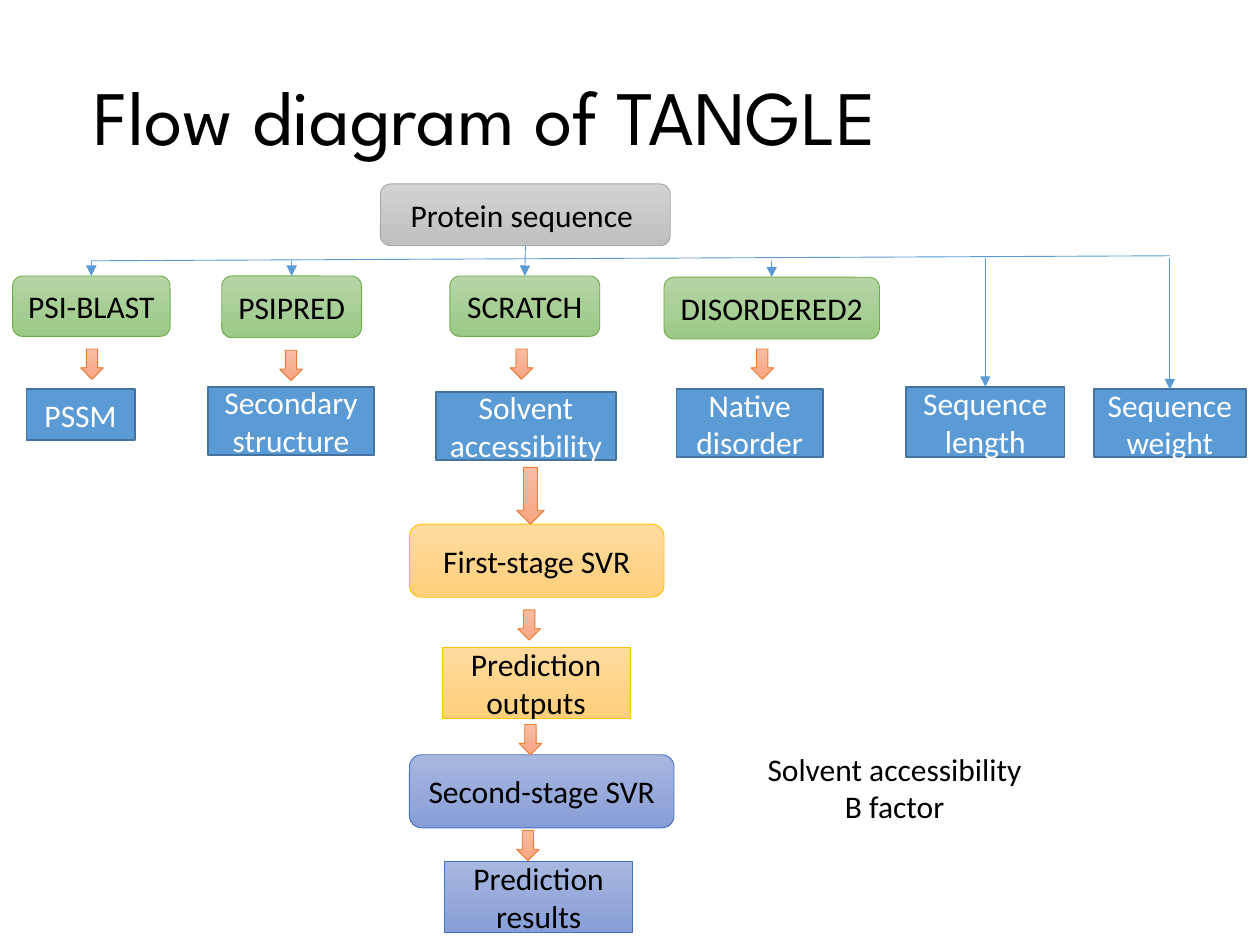
"""Build the flow diagram of the TANGLE two-stage predictor."""
from dataclasses import dataclass
from typing import Optional

from lxml import etree
from pptx import Presentation
from pptx import util as u
from pptx.dml.color import RGBColor
from pptx.enum import shapes, text
from pptx.oxml.ns import qn

BLACK = RGBColor(0x00, 0x00, 0x00)
WHITE = RGBColor(0xFF, 0xFF, 0xFF)
LINK_BLUE = RGBColor(0x5B, 0x9B, 0xD5)

WIDTH, HEIGHT = u.Inches(10), u.Inches(7.5)
COLS, ROWS = 100, 75
ROUND = shapes.MSO_SHAPE.ROUNDED_RECTANGLE
RECT = shapes.MSO_SHAPE.RECTANGLE
DOWN = shapes.MSO_SHAPE.DOWN_ARROW


@dataclass(frozen=True)
class Style:
    """Fill from top to bottom, outline and text colour."""
    top: RGBColor
    bottom: RGBColor
    line: RGBColor
    weight: float = 0.5
    font: RGBColor = BLACK


@dataclass(frozen=True)
class Node:
    """A shape placed in grid columns and rows."""
    label: str
    col: float
    row: float
    cols: float
    rows: float
    style: Style
    kind: shapes.MSO_SHAPE = RECT


GRAY = Style(RGBColor(0xD2, 0xD2, 0xD2), RGBColor(0xC0, 0xC0, 0xC0), RGBColor(0xA5, 0xA5, 0xA5))
GREEN = Style(RGBColor(0xB5, 0xD5, 0xA7), RGBColor(0x9C, 0xC9, 0x87), RGBColor(0x70, 0xAD, 0x47))
GOLD = Style(RGBColor(0xFF, 0xDB, 0x9E), RGBColor(0xFF, 0xD0, 0x7C), RGBColor(0xFF, 0xC0, 0x00))
INDIGO = Style(RGBColor(0xA8, 0xB7, 0xDF), RGBColor(0x88, 0x9E, 0xD7), RGBColor(0x44, 0x72, 0xC4))
ORANGE = Style(RGBColor(0xF7, 0xBD, 0xA5), RGBColor(0xF8, 0xA5, 0x82), RGBColor(0xED, 0x7D, 0x31))
BLUE = Style(LINK_BLUE, LINK_BLUE, RGBColor(0x43, 0x73, 0x9E), 1, WHITE)

SOURCE = Node("Protein sequence ", 30.2, 14.6, 23, 4.9, GRAY, ROUND)
TOOLS = [
    Node("PSI-BLAST ", 1, 21.9, 12.5, 4.8, GREEN, ROUND),
    Node("PSIPRED ", 17.6, 21.9, 11.1, 4.9, GREEN, ROUND),
    Node("SCRATCH", 35.7, 21.9, 11.9, 4.8, GREEN, ROUND),
    Node("DISORDERED2", 52.7, 22, 17.1, 4.9, GREEN, ROUND),
]
FEATURES = [
    Node("PSSM", 2.1, 30.9, 8.6, 4, BLUE),
    Node("Secondary\nstructure", 16.5, 30.7, 13.2, 5.4, BLUE),
    Node("Solvent\naccessibility", 34.6, 31.1, 14.3, 5.4, BLUE),
    Node("Native\ndisorder", 53.7, 30.9, 11.6, 5.4, BLUE),
]
DIRECT = [
    Node("Sequence\nlength", 71.9, 30.7, 12.6, 5.6, BLUE),
    Node("Sequence\nweight", 86.8, 30.9, 12.1, 5.4, BLUE),
]
STAGES = [
    Node("First-stage SVR", 32.5, 41.6, 20.2, 5.8, GOLD, ROUND),
    Node("Prediction\noutputs", 35.1, 51.4, 14.9, 5.6, GOLD),
    Node("Second-stage SVR", 32.5, 59.9, 21, 5.8, INDIGO, ROUND),
    Node("Prediction\nresults", 35.3, 68.4, 14.9, 5.6, INDIGO),
]
SMALL_ARROWS = [(6.4, 27.7), (22.2, 27.8), (40.5, 27.7), (59.6, 27.7),
                (41.1, 48.4), (41.2, 57.5), (41, 65.9)]
ARROWS = [Node("", 41, 37.1, 2.2, 4.5, ORANGE, DOWN)]
ARROWS += [Node("", col, row, 1.8, 2.4, ORANGE, DOWN) for col, row in SMALL_ARROWS]


def x(col: float) -> int:
    """Turn grid columns into a length."""
    return round(WIDTH * col / COLS)


def y(row: float) -> int:
    """Turn grid rows into a length."""
    return round(HEIGHT * row / ROWS)


def write(tf, words: str, color: RGBColor) -> None:
    """Fill a text frame with centred lines."""
    tf.text = words
    tf.word_wrap = True
    for p in tf.paragraphs:
        p.alignment = text.PP_ALIGN.CENTER
        for r in p.runs:
            r.font.name, r.font.size = "Calibri", u.Pt(18)
            r.font.color.rgb = color


def draw_node(group, node: Node):
    """Draw one box or block arrow."""
    sp = group.shapes.add_shape(node.kind, x(node.col), y(node.row), x(node.cols), y(node.rows))
    style = node.style
    sp.shadow.inherit = False
    if style.top == style.bottom:
        sp.fill.solid()
        sp.fill.fore_color.rgb = style.top
    else:
        sp.fill.gradient()
        sp.fill.gradient_angle = 270
        for stop, color in zip(sp.fill.gradient_stops, (style.top, style.bottom)):
            stop.color.rgb = color
    sp.line.color.rgb = style.line
    sp.line.width = u.Pt(style.weight)
    if node.label:
        sp.text_frame.vertical_anchor = text.MSO_ANCHOR.MIDDLE
        write(sp.text_frame, node.label, style.font)
    return sp


def draw_link(group, start: tuple[int, int], end: tuple[int, int],
              source: Optional[object] = None, target: Optional[object] = None) -> None:
    """Draw a thin line, with an arrowhead where it enters a target."""
    cx = group.shapes.add_connector(shapes.MSO_CONNECTOR.STRAIGHT, *start, *end)
    cx.line.color.rgb = LINK_BLUE
    cx.line.width = u.Pt(0.5)
    if source is not None:
        cx.begin_connect(source, 2)
    if target is not None:
        cx.end_connect(target, 0)
        etree.SubElement(cx.line._get_or_add_ln(), qn("a:tailEnd"), type="triangle")
    etree.SubElement(cx._element.spPr, qn("a:effectLst"))


def draw_branches(group, source, tools: list, direct: list) -> None:
    """Lead the source through the bus line to every tool and direct feature."""
    middle = source.left + source.width // 2
    first, last = (sp.left + sp.width // 2 for sp in (tools[0], direct[-1]))
    draw_link(group, (middle, y(19.5)), (middle, y(21.9)), source, tools[2])
    draw_link(group, (first, y(20.7)), (last, y(20.3)))
    drops = [(sp, 20.7) for sp in tools if sp is not tools[2]] + [(sp, 20.5) for sp in direct]
    for sp, row in drops:
        center = sp.left + sp.width // 2
        draw_link(group, (center, y(row)), (center, sp.top), target=sp)


def main() -> None:
    """Build and save the slide."""
    prs = Presentation()
    prs.slide_width, prs.slide_height = WIDTH, HEIGHT
    s = prs.slides.add_slide(prs.slide_layouts[5])

    title = s.shapes.title
    title.left, title.top, title.width, title.height = x(6.4), y(2.3), x(86.2), y(14.5)
    tf = title.text_frame
    tf.text = "Flow diagram of TANGLE"
    tf.vertical_anchor = text.MSO_ANCHOR.MIDDLE
    p = tf.paragraphs[0]
    p.alignment, p.line_spacing = text.PP_ALIGN.LEFT, 0.9
    r = p.runs[0]
    r.font.name, r.font.size = "League Spartan", u.Pt(44)
    r.font.color.rgb = BLACK

    group = s.shapes.add_group_shape()
    source = draw_node(group, SOURCE)
    tools = [draw_node(group, node) for node in TOOLS]
    for node in FEATURES:
        draw_node(group, node)
    direct = [draw_node(group, node) for node in DIRECT]
    for node in STAGES:
        draw_node(group, node)
    draw_branches(group, source, tools, direct)
    for node in ARROWS:
        draw_node(group, node)

    note = s.shapes.add_textbox(x(59.6), y(59), x(22.8), y(7.1))
    write(note.text_frame, "Solvent accessibility\nB factor", BLACK)
    note.text_frame.auto_size = text.MSO_AUTO_SIZE.SHAPE_TO_FIT_TEXT
    prs.save("out.pptx")


if __name__ == "__main__":
    main()
